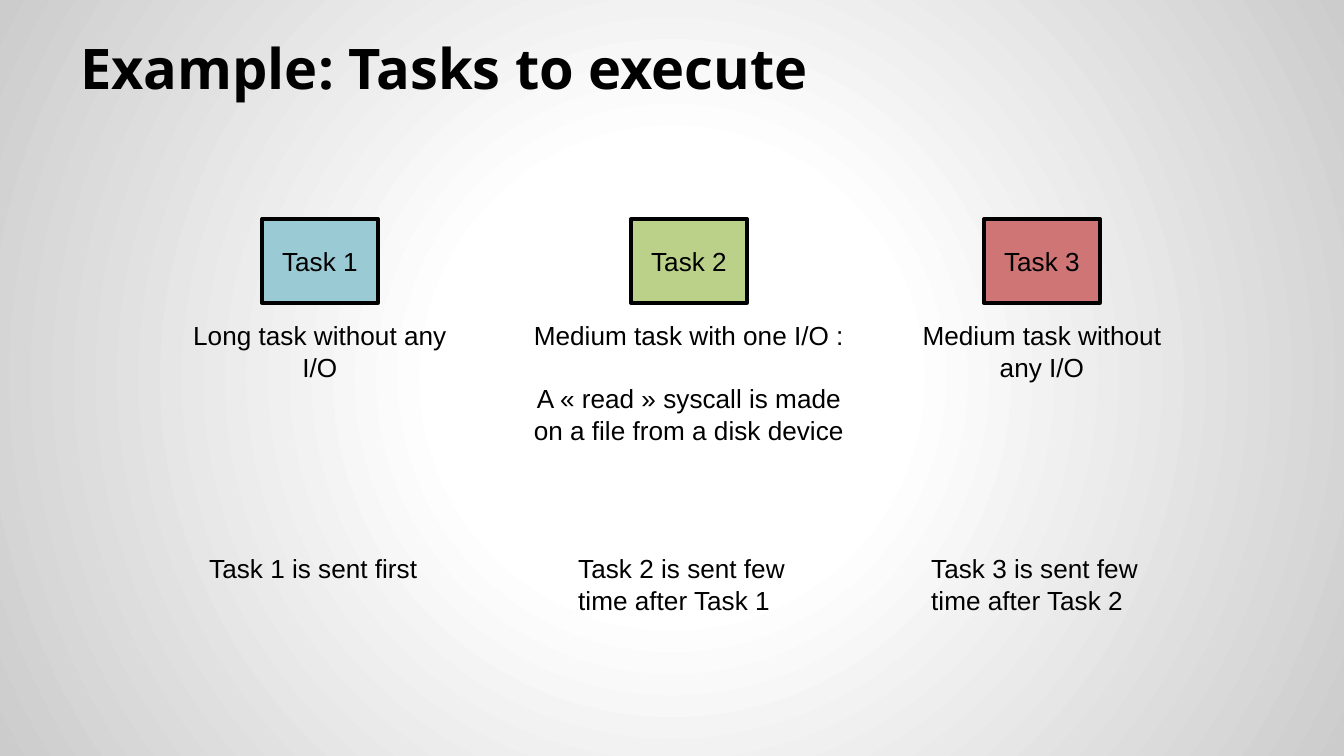
from dataclasses import dataclass

from pptx import Presentation
from pptx.dml.color import RGBColor
from pptx.enum.shapes import MSO_SHAPE
from pptx.enum.text import MSO_ANCHOR, MSO_AUTO_SIZE, PP_ALIGN
from pptx.oxml import parse_xml
from pptx.oxml.ns import nsdecls, qn
from pptx.util import Emu, Pt

EMU_PER_PX = 914400 / 134.4


@dataclass(frozen=True)
class Theme:
    title_font: str = "Noto Sans"
    body_font: str = "Arial"
    title_size: int = 30
    body_size: int = 14
    paragraph_gap: int = 17
    line_width: int = 2
    ink: str = "000000"
    backdrop: tuple = ((0, "FFFFFF"), (30, "FFFFFF"), (100, "CCCCCC"))


THEME = Theme()

# centre x, name, fill, description width and height, description, note height, note
TASKS = [
    (320, "Task 1", "9ACAD3", 312, 77, ["Long task without any I/O"],
     46, "Task 1 is sent first"),
    (689, "Task 2", "BBD189", 338, 140,
     ["Medium task with one I/O :",
      "A « read » syscall is made on a file from a disk device"],
     77, "Task 2 is sent few time after Task 1"),
    (1042, "Task 3", "D07576", 277, 77, ["Medium task without any I/O"],
     77, "Task 3 is sent few time after Task 2"),
]


def px(length):
    return Emu(round(length * EMU_PER_PX))


def centred_box(centre, top, width, height):
    return px(centre - width / 2), px(top), px(width), px(height)


def add_run(paragraph, text, font_name, size, bold=False):
    run = paragraph.add_run()
    run.text = text
    run.font.name = font_name
    run.font.size = Pt(size)
    run.font.bold = bold
    run.font.color.rgb = RGBColor.from_string(THEME.ink)


def write_paragraphs(frame, texts, alignment):
    frame.word_wrap = True
    for index, text in enumerate(texts):
        paragraph = frame.add_paragraph() if index else frame.paragraphs[0]
        paragraph.alignment = alignment
        if index:
            paragraph.space_before = Pt(THEME.paragraph_gap)
        add_run(paragraph, text, THEME.body_font, THEME.body_size)


def set_backdrop(slide):
    """Fill the background with a circular gradient around the centre."""
    slide.background.fill.gradient()
    gradient = slide.element.find(".//" + qn("a:gradFill"))
    stops = "".join(
        f'<a:gs pos="{position * 1000}"><a:srgbClr val="{color}"/></a:gs>'
        for position, color in THEME.backdrop)
    gradient.getparent().replace(gradient, parse_xml(
        f'<a:gradFill {nsdecls("a")} rotWithShape="1"><a:gsLst>{stops}</a:gsLst>'
        '<a:path path="circle"><a:fillToRect l="50000" t="50000" r="50000" b="50000"/>'
        '</a:path></a:gradFill>'))


def set_title(slide, text):
    title = slide.shapes.title
    title.left, title.top, title.width, title.height = map(px, (67, 31, 1210, 83))
    frame = title.text_frame
    frame.auto_size = MSO_AUTO_SIZE.NONE
    frame.vertical_anchor = MSO_ANCHOR.BOTTOM
    frame.margin_left = frame.margin_right = px(13)
    frame.margin_top = frame.margin_bottom = px(13)
    frame.paragraphs[0].alignment = PP_ALIGN.LEFT
    add_run(frame.paragraphs[0], text, THEME.title_font, THEME.title_size, bold=True)


def add_task_box(group, centre, name, color):
    box = group.shapes.add_shape(MSO_SHAPE.RECTANGLE, *centred_box(centre, 219, 116, 84))
    box.shadow.inherit = False
    box.fill.solid()
    box.fill.fore_color.rgb = RGBColor.from_string(color)
    box.line.color.rgb = RGBColor.from_string(THEME.ink)
    box.line.width = Pt(THEME.line_width)
    box.text_frame.vertical_anchor = MSO_ANCHOR.MIDDLE
    write_paragraphs(box.text_frame, [name], PP_ALIGN.CENTER)


def add_text(group, box, texts, alignment):
    frame = group.shapes.add_textbox(*box).text_frame
    frame.auto_size = MSO_AUTO_SIZE.SHAPE_TO_FIT_TEXT
    write_paragraphs(frame, texts, alignment)


def add_task(slide, centre, name, color, width, height, description, note_height, note):
    group = slide.shapes.add_group_shape()
    add_task_box(group, centre, name, color)
    add_text(group, centred_box(centre, 313, width, height), description, PP_ALIGN.CENTER)
    add_text(group, centred_box(centre, 546, 248, note_height), [note], PP_ALIGN.LEFT)


def main():
    presentation = Presentation()
    presentation.slide_width, presentation.slide_height = px(1344), px(756)
    slide = presentation.slides.add_slide(presentation.slide_layouts[5])
    set_backdrop(slide)
    set_title(slide, "Example: Tasks to execute")
    for task in TASKS:
        add_task(slide, *task)
    presentation.save("out.pptx")


if __name__ == "__main__":
    main()
